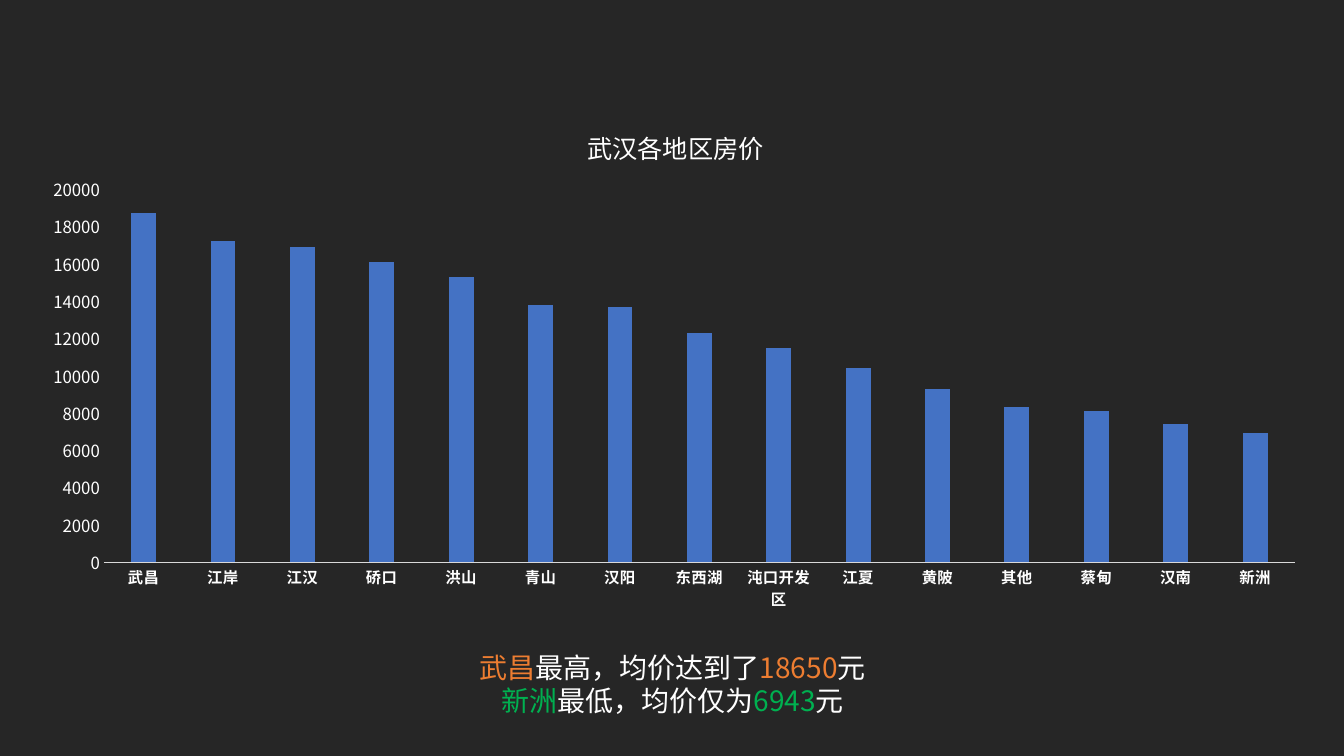
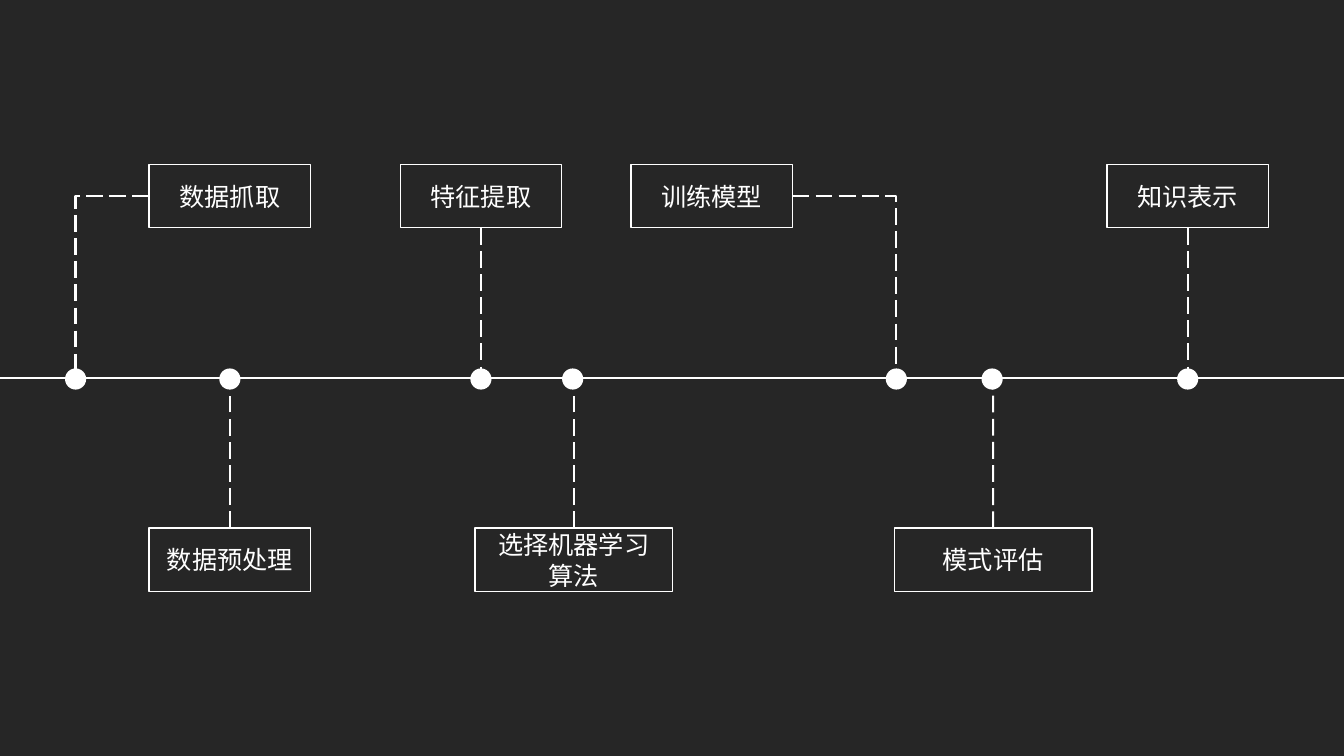
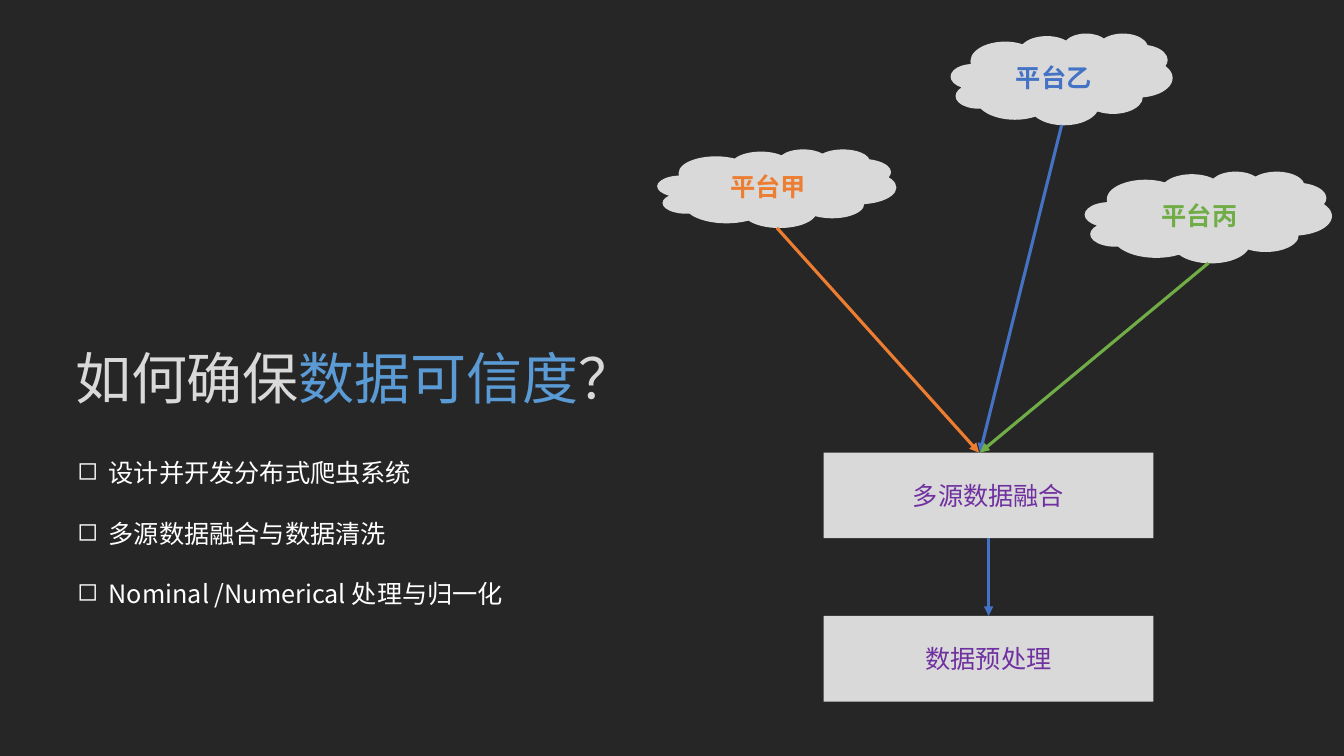
from lxml import etree
from pptx import Presentation
from pptx import util as u
from pptx.chart import data as chart_data
from pptx.dml import color
from pptx.enum import chart as chart_enum, dml, shapes, text
from pptx.oxml import ns

FONT = "Noto Sans CJK SC"
DARK, WHITE, GREY = "262626", "FFFFFF", "D9D9D9"
BLUE, ORANGE, GREEN, PURPLE = "4472C4", "ED7D31", "70AD47", "7030A0"
LIGHT_BLUE, LOW_GREEN = "5B9BD5", "00B050"
RECT, OVAL, CLOUD = (
    shapes.MSO_SHAPE.RECTANGLE, shapes.MSO_SHAPE.OVAL, shapes.MSO_SHAPE.CLOUD)
TOP, BOTTOM = 0, 2
AXIS_Y = 3.76
PRICES = {
    "武昌": 18700, "江岸": 17200, "江汉": 16900, "硚口": 16100, "洪山": 15300,
    "青山": 13800, "汉阳": 13700, "东西湖": 12300, "沌口开发区": 11500,
    "江夏": 10400, "黄陂": 9300, "其他": 8300, "蔡甸": 8100, "汉南": 7400,
    "新洲": 6900,
}


def rgb(value):
    return color.RGBColor.from_string(value)


def lengths(*values):
    return [u.Inches(value) for value in values]


def apply(target, **formats):
    for name, value in formats.items():
        setattr(target, name, value)


def child(parent, tag, **attributes):
    return etree.SubElement(parent, ns.qn(tag), attributes)


def set_font(font, size, hue, bold=False):
    apply(font, name=FONT, size=u.Pt(size), bold=bold)
    font.fill.solid()
    font.fill.fore_color.rgb = rgb(hue)
    child(font._rPr, "a:ea", typeface=FONT)


def write(frame, lines, size, bold=False, align=text.PP_ALIGN.CENTER):
    frame.word_wrap = True
    for number, line in enumerate(lines):
        para = frame.add_paragraph() if number else frame.paragraphs[0]
        para.alignment = align
        for words, hue in line:
            span = para.add_run()
            span.text = words
            set_font(span.font, size, hue, bold)


def add_text(page, place, lines, size, **options):
    box = page.shapes.add_textbox(*lengths(*place))
    write(box.text_frame, lines, size, **options)
    box.text_frame.auto_size = text.MSO_AUTO_SIZE.SHAPE_TO_FIT_TEXT
    return box


def add_box(page, kind, place, fill=None, outline=None, lines=(), size=18, bold=False):
    box = page.shapes.add_shape(kind, *lengths(*place))
    box.shadow.inherit = False
    if fill:
        box.fill.solid()
        box.fill.fore_color.rgb = rgb(fill)
    else:
        box.fill.background()
    if outline:
        box.line.color.rgb = rgb(outline)
        box.line.width = u.Pt(1)
    else:
        box.line.fill.background()
    box.text_frame.vertical_anchor = text.MSO_ANCHOR.MIDDLE
    write(box.text_frame, lines, size, bold)
    return box


def add_line(page, start, end, hue, width, dashed=False, arrow=False, bent=False):
    kind = shapes.MSO_CONNECTOR.ELBOW if bent else shapes.MSO_CONNECTOR.STRAIGHT
    line = page.shapes.add_connector(kind, *lengths(*start, *end))
    line.line.color.rgb = rgb(hue)
    line.line.width = u.Pt(width)
    properties = line._element.spPr
    if dashed:
        line.line.dash_style = dml.MSO_LINE.LONG_DASH
    if arrow:
        child(properties.find(ns.qn("a:ln")), "a:tailEnd", type="triangle")
    if bent:
        properties.find(ns.qn("a:prstGeom")).set("prst", "bentConnector2")
    child(properties, "a:effectLst")
    return line


def place_part(part, index, inner=False, **fractions):
    for old in part.findall(ns.qn("c:layout")):
        part.remove(old)
    layout = etree.Element(ns.qn("c:layout"))
    manual = child(layout, "c:manualLayout")
    if inner:
        child(manual, "c:layoutTarget", val="inner")
    for name in ("xMode", "yMode"):
        child(manual, f"c:{name}", val="edge")
    for name, value in fractions.items():
        child(manual, f"c:{name}", val=str(value))
    part.insert(index, layout)


def add_price_chart(page):
    prices = chart_data.CategoryChartData()
    prices.categories = list(PRICES)
    prices.add_series("Series 1", list(PRICES.values()))
    chart = page.shapes.add_chart(
        chart_enum.XL_CHART_TYPE.COLUMN_CLUSTERED,
        *lengths(0.26, 0.94, 12.84, 5.21), prices).chart
    set_font(chart.font, 10, WHITE)
    apply(chart, has_legend=False, has_title=True)
    write(chart.chart_title.text_frame, [[("武汉各地区房价", WHITE)]], 18)
    plot = chart.plots[0]
    apply(plot, gap_width=219, overlap=-27, vary_by_categories=False)
    bars = plot.series[0].format.fill
    bars.solid()
    bars.fore_color.rgb = rgb(BLUE)
    for axis, size, bold in ((chart.category_axis, 11, True), (chart.value_axis, 12, False)):
        apply(axis, major_tick_mark=chart_enum.XL_TICK_MARK.NONE,
              minor_tick_mark=chart_enum.XL_TICK_MARK.NONE, has_major_gridlines=False)
        set_font(axis.tick_labels.font, size, WHITE, bold)
    apply(chart.value_axis, minimum_scale=0, maximum_scale=20000, major_unit=2000)
    chart.value_axis.format.line.fill.background()
    base = chart.category_axis.format.line
    base.color.rgb = rgb(GREY)
    base.width = u.Pt(0.75)
    place_part(chart.chart_title._element, 1, x=0.43, y=0.05)
    area = chart._chartSpace.find(".//" + ns.qn("c:plotArea"))
    place_part(area, 0, inner=True, x=0.06, y=0.18, w=0.92, h=0.71)


def build_prices(page):
    add_price_chart(page)
    add_text(page, (4.57, 6.4, 4.2, 0.77), [
        [(district, hue), (claim, WHITE), (price, hue), ("元", WHITE)]
        for district, claim, price, hue in (
            ("武昌", "最高，均价达到了", "18650", ORANGE),
            ("新洲", "最低，均价仅为", "6943", LOW_GREEN))], 20)


def add_step(page, labels, left, dot_x, width=1.6, above=True):
    top, height, dot = (1.63 if above else 5.24), 0.63, 0.21
    box = add_box(page, RECT, (left, top, width, height), outline=WHITE,
                  lines=[[(label, WHITE)] for label in labels])
    center, right = left + width / 2, left + width
    bent = not left < dot_x < right
    if bent:
        start = (left if dot_x < left else right, top + height / 2)
        add_line(page, start, (dot_x, AXIS_Y), WHITE, 1.5, dashed=True, bent=True)
    else:
        edge = top + height if above else top
        stem = add_line(page, (center, edge), (center, AXIS_Y), WHITE, 1.5, dashed=True)
        stem.begin_connect(box, BOTTOM if above else TOP)
    add_box(page, OVAL, (dot_x - dot / 2, AXIS_Y - dot / 2, dot, dot), fill=WHITE)


def build_timeline(page):
    add_line(page, (0, 3.75), (13.33, 3.75), WHITE, 1.5)
    for labels, left, dot_x in (
            (["数据抓取"], 1.48, 0.75), (["特征提取"], 3.97, 4.77),
            (["训练模型"], 6.26, 8.89), (["知识表示"], 10.98, 11.78)):
        add_step(page, labels, left, dot_x)
    for labels, left, dot_x, width in (
            (["数据预处理"], 1.48, 2.28, 1.6),
            (["选择机器学习", "算法"], 4.71, 5.68, 1.96),
            (["模式评估"], 8.87, 9.84, 1.96)):
        add_step(page, labels, left, dot_x, width, above=False)


def add_bullets(page, place, items):
    box = add_text(page, place, [[(item, WHITE)] for item in items], 18,
                   align=text.PP_ALIGN.LEFT)
    indent = u.Inches(0.31)
    for number, para in enumerate(box.text_frame.paragraphs):
        if number:
            para.space_before = u.Pt(21.6)
        properties = para._p.get_or_add_pPr()
        properties.set("marL", str(indent))
        properties.set("indent", str(-indent))
        child(properties, "a:buChar", char="◻")


def build_trust(page):
    add_text(page, (0.05, 3.36, 6.94, 0.77),
             [[("如何确保", GREY), ("数据可信度", LIGHT_BLUE), ("？", GREY)]], 40)
    add_bullets(page, (0.67, 4.49, 5.71, 1.62), (
        "设计并开发分布式爬虫系统", "多源数据融合与数据清洗",
        "Nominal /Numerical 处理与归一化"))
    for name, hue, place, target_x in (
            ("平台甲", ORANGE, (6.52, 1.48, 2.37, 0.78), 9.71),
            ("平台乙", BLUE, (9.43, 0.33, 2.2, 0.91), 9.72),
            ("平台丙", GREEN, (10.76, 1.7, 2.45, 0.91), 9.72)):
        left, top, width, height = place
        add_box(page, CLOUD, place, fill=GREY, lines=[[(name, hue)]], bold=True)
        add_line(page, (left + width / 2, top + height), (target_x, 4.49),
                 hue, 2.25, arrow=True)
    fusion, cleaning = [
        add_box(page, RECT, (8.17, top, 3.27, 0.85), fill=GREY, lines=[[(name, PURPLE)]])
        for name, top in (("多源数据融合", 4.49), ("数据预处理", 6.11))]
    flow = add_line(page, (9.81, 5.34), (9.81, 6.11), BLUE, 2.25, arrow=True)
    flow.begin_connect(fusion, BOTTOM)
    flow.end_connect(cleaning, TOP)


def main():
    deck = Presentation()
    apply(deck, slide_width=u.Inches(13.33), slide_height=u.Inches(7.5))
    backdrop = deck.slide_master.background.fill
    backdrop.solid()
    backdrop.fore_color.rgb = rgb(DARK)
    for build in (build_prices, build_timeline, build_trust):
        build(deck.slides.add_slide(deck.slide_layouts[6]))
    deck.save("out.pptx")


if __name__ == "__main__":
    main()
